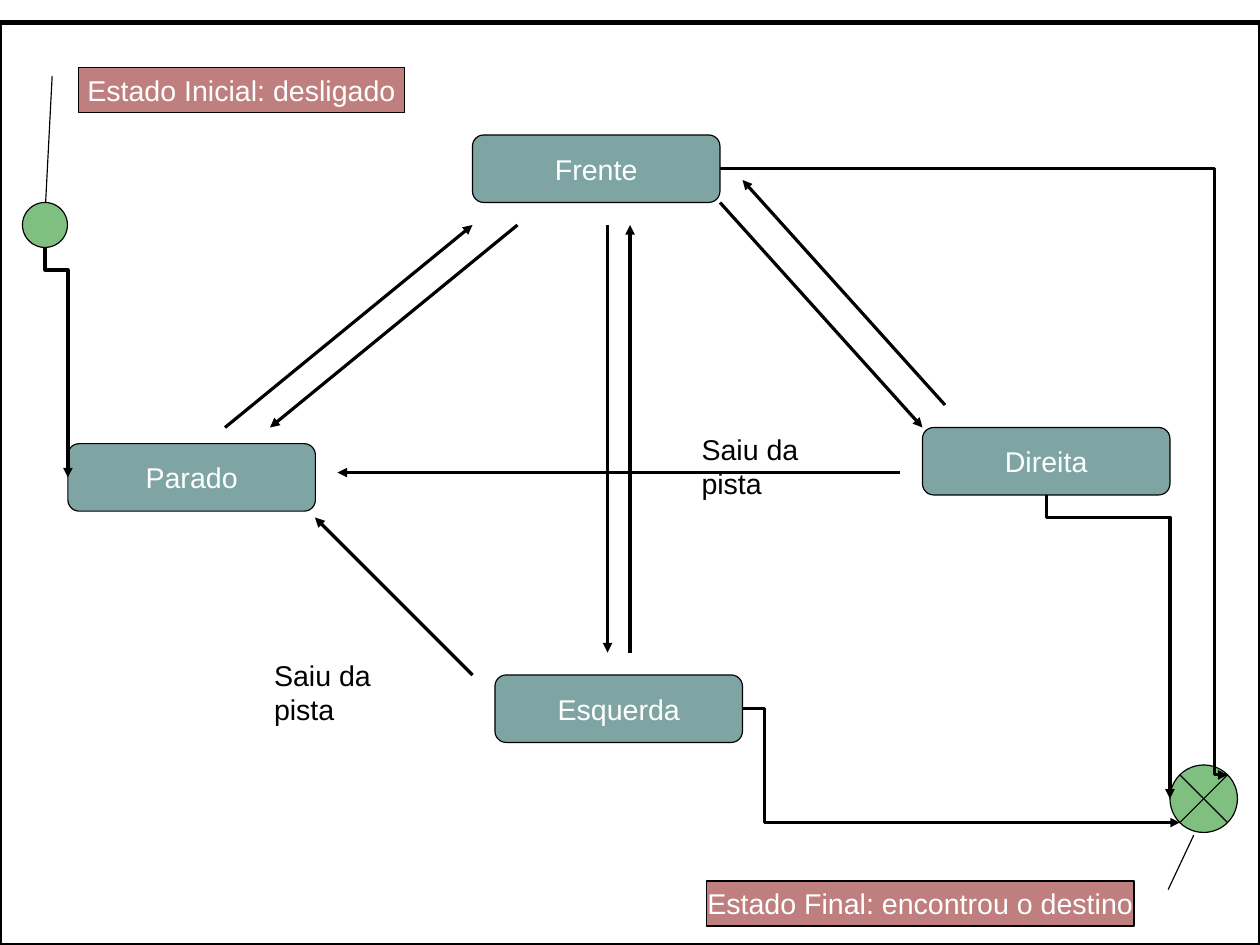
from dataclasses import dataclass

from lxml import etree
from pptx import Presentation
from pptx.dml.color import RGBColor
from pptx.enum import shapes, text
from pptx.oxml import ns
from pptx.util import Cm, Pt

FONT, SIZE = "Arial", Pt(18)
BLACK, WHITE = "000000", "FFFFFF"
TEAL, GREEN, MAROON = "004A4A", "008000", "800000"
KIND = shapes.MSO_SHAPE


@dataclass
class Node:
    """Filled shape; lengths in centimetres."""
    kind: int
    left: float
    top: float
    width: float
    height: float
    color: str
    label: str = ""
    adjustments: tuple = ()
    wrap: bool = True


@dataclass
class Arrow:
    start: tuple
    end: tuple


@dataclass
class BentArrow(Arrow):
    bend: float = 0.5  # length of the first leg
    downward: bool = False  # first leg runs down instead of right


def state(label: str, left: float, top: float) -> Node:
    return Node(KIND.FLOWCHART_ALTERNATE_PROCESS, left, top, 5.5, 1.5, TEAL, label)


def callout(label: str, left: float, top: float, width: float, leader: tuple) -> Node:
    return Node(KIND.LINE_CALLOUT_1, left, top, width, 1, MAROON, label, leader, False)


STATES = [
    state("Parado", 1.51, 9.86),
    state("Frente", 10.5, 3),
    state("Esquerda", 11, 15),
    state("Direita", 20.5, 9.5),
]
TRANSITIONS = [
    Arrow((5, 9.5), (10.5, 5)),
    Arrow((11.5, 5), (6, 9.5)),
    Arrow((16, 4.5), (20.5, 9.5)),
    Arrow((21, 9), (16.5, 4)),
    Arrow((20, 10.5), (7.5, 10.5)),
    Arrow((13.5, 5), (13.5, 14.5)),
    Arrow((14, 14.5), (14, 5)),
    Arrow((10.5, 15), (7, 11.5)),
]
FINAL_STATE = Node(KIND.FLOWCHART_SUMMING_JUNCTION, 26, 17, 1.5, 1.5, GREEN)
FINAL_ARROWS = [
    BentArrow((16, 3.75), (27.28, 17.22), bend=11),
    BentArrow((23.25, 11), (26, 17.75), downward=True),
    BentArrow((16.5, 15.75), (26.22, 18.28)),
]
INITIAL_STATE = Node(KIND.FLOWCHART_CONNECTOR, 0.5, 4.5, 1, 1, GREEN)
INITIAL_ARROW = BentArrow((1, 5.5), (1.51, 10.61), downward=True)
CALLOUTS = [
    callout("Estado Inicial: desligado", 1.74, 1.5, 7.25, (0.19, -0.08, 3, -0.1)),
    callout("Estado Final: encontrou o destino", 15.7, 19.58, 9.5,
            (0.19, 1.08, -1.02, 1.14)),
]
EXIT_NOTES = [(15.34, 9.47), (5.84, 14.5)]


def rgb(color: str) -> RGBColor:
    return RGBColor.from_string(color)


def set_line(item, width: float = 0) -> None:
    item.line.color.rgb = rgb(BLACK)
    item.line.width = Pt(width)


def write(box, label: str, color: str, alignment) -> None:
    para = box.text_frame.paragraphs[0]
    para.text = label
    para.alignment = alignment
    para.font.name, para.font.size = FONT, SIZE
    para.font.color.rgb = rgb(color)


def add_node(page, node: Node) -> None:
    shape = page.shapes.add_shape(
        node.kind, *map(Cm, (node.left, node.top, node.width, node.height)))
    shape.shadow.inherit = False
    for index, value in enumerate(node.adjustments):
        shape.adjustments[index] = value
    shape.fill.solid()
    shape.fill.fore_color.rgb = rgb(node.color)
    fill_color = shape.fill._xPr.find(".//" + ns.qn("a:srgbClr"))
    etree.SubElement(fill_color, ns.qn("a:alpha"), val="50000")
    set_line(shape)
    if node.label:
        shape.text_frame.word_wrap = node.wrap
        shape.text_frame.vertical_anchor = text.MSO_ANCHOR.MIDDLE
        write(shape, node.label, WHITE, text.PP_ALIGN.CENTER)


def add_arrow(page, arrow: Arrow):
    bent = isinstance(arrow, BentArrow)
    kind = shapes.MSO_CONNECTOR.ELBOW if bent else shapes.MSO_CONNECTOR.STRAIGHT
    connector = page.shapes.add_connector(kind, *map(Cm, arrow.start + arrow.end))
    set_line(connector)
    line = connector.line._get_or_add_ln()
    etree.SubElement(line, ns.qn("a:tailEnd"), type="triangle")
    etree.SubElement(connector._element.spPr, ns.qn("a:effectLst"))
    return connector


def add_bent_arrow(page, arrow: BentArrow) -> None:
    connector = add_arrow(page, arrow)
    properties = connector._element.spPr
    width, height = connector.width, connector.height
    if arrow.downward:
        # Swap the sides around the same centre, then turn
        connector.left += (width - height) // 2
        connector.top += (height - width) // 2
        connector.width, connector.height = height, width
        frame = properties.find(ns.qn("a:xfrm"))
        frame.set("rot", "16200000")
        frame.set("flipH", "1")
    share = round(100000 * Cm(arrow.bend) / connector.width)
    guides = properties.find(".//" + ns.qn("a:avLst"))
    etree.SubElement(guides, ns.qn("a:gd"), name="adj1", fmla=f"val {share}")


def add_exit_note(page, left: float, top: float) -> None:
    box = page.shapes.add_textbox(Cm(left), Cm(top), Cm(4.17), Cm(1.04))
    box.text_frame.word_wrap = True
    write(box, "Saiu da pista", BLACK, text.PP_ALIGN.LEFT)


def main() -> None:
    deck = Presentation()
    deck.slide_width, deck.slide_height = Cm(28), Cm(21)
    page = deck.slides.add_slide(deck.slide_layouts[6])

    # States and the transitions between them
    for node in STATES:
        add_node(page, node)
    for arrow in TRANSITIONS:
        add_arrow(page, arrow)

    # Final and initial states
    add_node(page, FINAL_STATE)
    for arrow in FINAL_ARROWS:
        add_bent_arrow(page, arrow)
    add_node(page, INITIAL_STATE)
    add_bent_arrow(page, INITIAL_ARROW)

    # Labels
    for node in CALLOUTS:
        add_node(page, node)
    for left, top in EXIT_NOTES:
        add_exit_note(page, left, top)

    # Frame around the diagram
    frame = page.shapes.add_shape(KIND.RECTANGLE, 0, Cm(0.5), Cm(28), Cm(20.5))
    frame.shadow.inherit = False
    frame.fill.background()
    set_line(frame, 2.83)

    deck.save("out.pptx")


if __name__ == "__main__":
    main()
